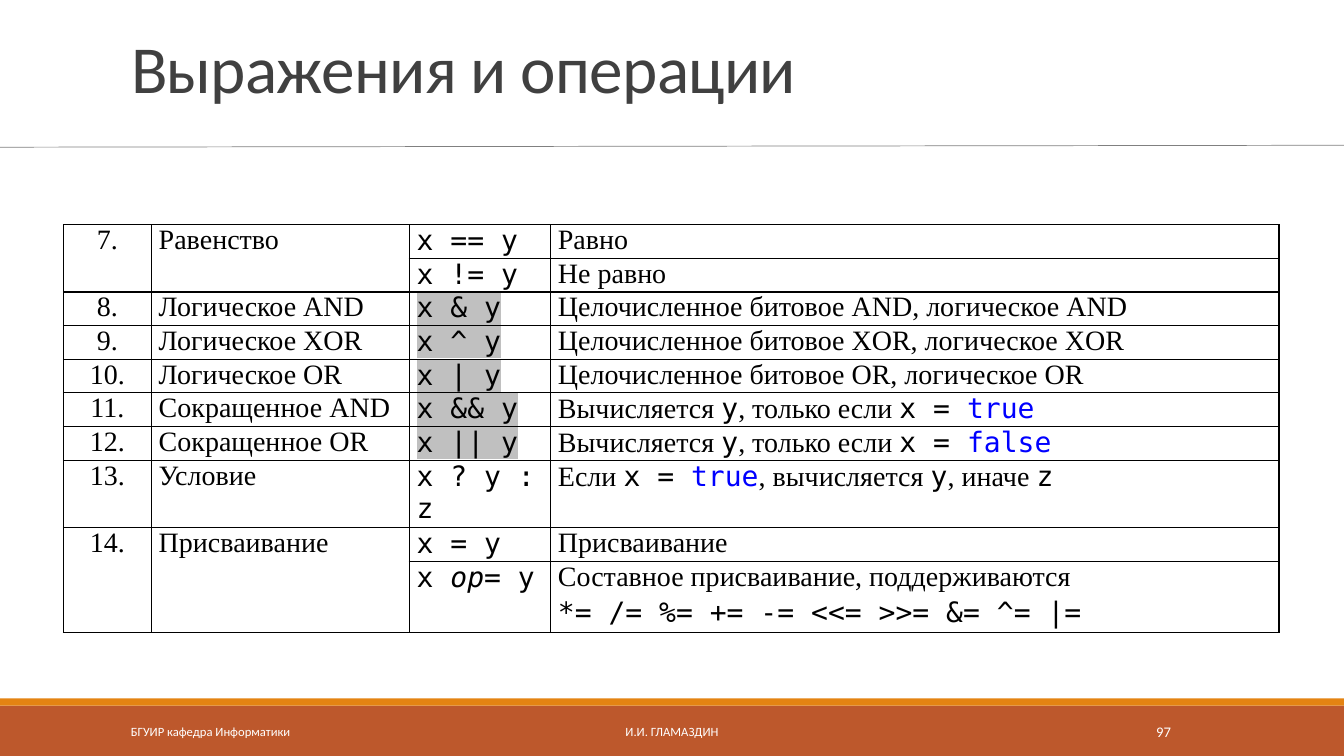
from dataclasses import dataclass

from lxml.etree import SubElement
from pptx import Presentation
from pptx.dml.color import RGBColor
from pptx.enum.shapes import MSO_CONNECTOR as Connector, MSO_SHAPE as Shape
from pptx.enum.text import MSO_ANCHOR as Anchor, MSO_AUTO_SIZE as AutoSize, PP_ALIGN as Align
from pptx.oxml import parse_xml
from pptx.oxml.ns import nsdecls, qn
from pptx.util import Cm, Pt

BLACK = RGBColor(0x00, 0x00, 0x00)
WHITE = RGBColor(0xFF, 0xFF, 0xFF)
BLUE = RGBColor(0x00, 0x00, 0xFF)
SILVER = RGBColor(0xC0, 0xC0, 0xC0)
TITLE_GRAY = RGBColor(0x40, 0x40, 0x40)
RULE_GRAY = RGBColor(0x80, 0x80, 0x80)
RUST = RGBColor(0xBD, 0x58, 0x2C)
ORANGE = RGBColor(0xE4, 0x83, 0x12)

SLIDE_WIDTH, SLIDE_HEIGHT = 33.87, 19.05
ROW_HEIGHT = 0.82
COLUMN_WIDTHS = [2.21, 6.5, 3.56, 18.36]


@dataclass
class Style:
    """Character formatting of a run."""
    font: str
    size: float = 20
    color: RGBColor = BLACK
    italic: bool = False
    highlight: RGBColor = None


MONO = "DejaVu Sans Mono"
TEXT = Style("Times New Roman")
CODE = Style(MONO)
ITALIC = Style(MONO, italic=True)
KEYWORD = Style(MONO, color=BLUE)
MARKED = Style(MONO, highlight=SILVER)
TITLE = Style("Calibri", 48, TITLE_GRAY)
FOOTER = Style("Calibri", 9, WHITE)
PAGE_NUMBER = Style("Calibri", 10.5, WHITE)


def short_circuit(value):
    """Return the description of an operator that may skip y."""
    return [[("Вычисляется ", TEXT), ("y", CODE), (", только если ", TEXT),
             ("x = ", CODE), (value, KEYWORD)]]


def plain(text):
    """Return a description of one plain paragraph."""
    return [[(text, TEXT)]]


OPERATIONS = [
    ("7.", "Равенство", [
        ([("x == y", CODE)], plain("Равно")),
        ([("x != y", CODE)], plain("Не равно"))]),
    ("8.", "Логическое AND", [
        ([("x & y", MARKED)], plain("Целочисленное битовое AND, логическое AND"))]),
    ("9.", "Логическое XOR", [
        ([("x ^ y", MARKED)], plain("Целочисленное битовое XOR, логическое XOR"))]),
    ("10.", "Логическое OR", [
        ([("x | y", MARKED)], plain("Целочисленное битовое OR, логическое OR"))]),
    ("11.", "Сокращенное AND", [([("x && y", MARKED)], short_circuit("true"))]),
    ("12.", "Сокращенное OR", [([("x || y", MARKED)], short_circuit("false"))]),
    ("13.", "Условие", [
        ([("x ? y : z", CODE)],
         [[("Если ", TEXT), ("x = ", CODE), ("true", KEYWORD), (", вычисляется ", TEXT),
           ("y", CODE), (", иначе ", TEXT), ("z", CODE)]])]),
    ("14.", "Присваивание", [
        ([("x = y", CODE)], plain("Присваивание")),
        ([("x ", CODE), ("op", ITALIC), ("= y", CODE)],
         [[("Составное присваивание, поддерживаются", TEXT)],
          [("*= /= %= += -= <<= >>= &= ^= |=", CODE)]])]),
]


def add_run(paragraph, text, style):
    """Append one formatted run to a paragraph."""
    run = paragraph.add_run()
    run.text = text
    font = run.font
    font.name, font.size, font.italic = style.font, Pt(style.size), style.italic
    font.color.rgb = style.color
    if style.highlight is not None:
        properties = run._r.get_or_add_rPr()
        properties.find(qn("a:solidFill")).addnext(parse_xml(
            f'<a:highlight {nsdecls("a")}><a:srgbClr val="{style.highlight}"/></a:highlight>'))
    return run


def write_paragraphs(frame, paragraphs, align=Align.LEFT):
    """Fill a text frame with paragraphs given as lists of runs."""
    for index, runs in enumerate(paragraphs):
        paragraph = frame.add_paragraph() if index else frame.paragraphs[0]
        paragraph.alignment = align
        paragraph.space_before = Pt(3 if index else 0)
        for text, style in runs:
            add_run(paragraph, text, style)


def format_cell(cell):
    """Set the margins, empty fill and black borders of a cell."""
    cell.margin_left = cell.margin_right = Cm(0.19)
    cell.margin_top = cell.margin_bottom = 0
    cell.fill.background()
    properties = cell._tc.get_or_add_tcPr()
    for index, side in enumerate(("lnL", "lnR", "lnT", "lnB")):
        border = parse_xml(f'<a:{side} {nsdecls("a")} w="12700"><a:solidFill>'
                           f'<a:srgbClr val="{BLACK}"/></a:solidFill></a:{side}>')
        properties.insert(index, border)


def add_title(slide, left, top, width, height):
    """Place the title and the thin rule below it."""
    title = slide.shapes.title
    title.left, title.top, title.width, title.height = map(Cm, (left, top, width, height))
    frame = title.text_frame
    frame.auto_size = AutoSize.NONE
    frame.word_wrap = True
    frame.vertical_anchor = Anchor.BOTTOM
    paragraph = frame.paragraphs[0]
    paragraph.alignment = Align.LEFT
    paragraph.line_spacing = 0.85
    run = add_run(paragraph, "Выражения и операции", TITLE)
    run._r.get_or_add_rPr().set("spc", "-50")
    rule_top = top + height + 0.84
    rule = slide.shapes.add_connector(
        Connector.STRAIGHT, 0, Cm(rule_top + 0.05), Cm(SLIDE_WIDTH + 0.09), Cm(rule_top))
    rule.line.color.rgb = RULE_GRAY
    rule.line.width = Pt(0.5)
    SubElement(rule._element.spPr, qn("a:effectLst"))


def add_operations_table(slide, left, top):
    """Build the table of operations, merging the cells of each group."""
    row_count = sum(len(variants) for _, _, variants in OPERATIONS)
    table = slide.shapes.add_table(
        row_count, len(COLUMN_WIDTHS), Cm(left), Cm(top),
        Cm(sum(COLUMN_WIDTHS)), Cm(row_count * ROW_HEIGHT)).table
    table.first_row = table.horz_banding = False
    for column, width in zip(table.columns, COLUMN_WIDTHS):
        column.width = Cm(width)
    for cell in table.iter_cells():
        format_cell(cell)
    row = 0
    for number, name, variants in OPERATIONS:
        write_paragraphs(table.cell(row, 0).text_frame, plain(number), Align.CENTER)
        write_paragraphs(table.cell(row, 1).text_frame, plain(name))
        last = row + len(variants) - 1
        if last > row:
            for column in (0, 1):
                table.cell(row, column).merge(table.cell(last, column))
        for code, description in variants:
            write_paragraphs(table.cell(row, 2).text_frame, [code])
            write_paragraphs(table.cell(row, 3).text_frame, description)
            row += 1


def add_footer(slide, top, height):
    """Draw the footer bands and their three captions."""
    stripe = 0.18
    for band_top, band_height, color in ((top, height, RUST), (top - stripe, stripe, ORANGE)):
        band = slide.shapes.add_shape(
            Shape.RECTANGLE, 0, Cm(band_top), Cm(SLIDE_WIDTH), Cm(band_height))
        band.shadow.inherit = False
        band.fill.solid()
        band.fill.fore_color.rgb = color
        band.line.fill.background()
    captions = (
        (3.05, 6.86, "БГУИР кафедра Информатики", FOOTER, Align.LEFT),
        (10.24, 13.39, "И.И. ГЛАМАЗДИН", FOOTER, Align.CENTER),
        (27.51, 3.63, "97", PAGE_NUMBER, Align.CENTER),
    )
    for left, width, text, style, align in captions:
        box = slide.shapes.add_textbox(Cm(left), Cm(top + 0.15), Cm(width), Cm(1.02))
        frame = box.text_frame
        frame.word_wrap = True
        frame.vertical_anchor = Anchor.MIDDLE
        write_paragraphs(frame, [[(text, style)]], align)


def main():
    """Build and save the presentation."""
    presentation = Presentation()
    presentation.slide_width, presentation.slide_height = Cm(SLIDE_WIDTH), Cm(SLIDE_HEIGHT)
    slide = presentation.slides.add_slide(presentation.slide_layouts[5])
    add_footer(slide, 17.78, 1.27)
    add_title(slide, 3.05, 0.79, 27.94, 2.03)
    add_operations_table(slide, 1.6, 5.66)
    presentation.save("out.pptx")


if __name__ == "__main__":
    main()
